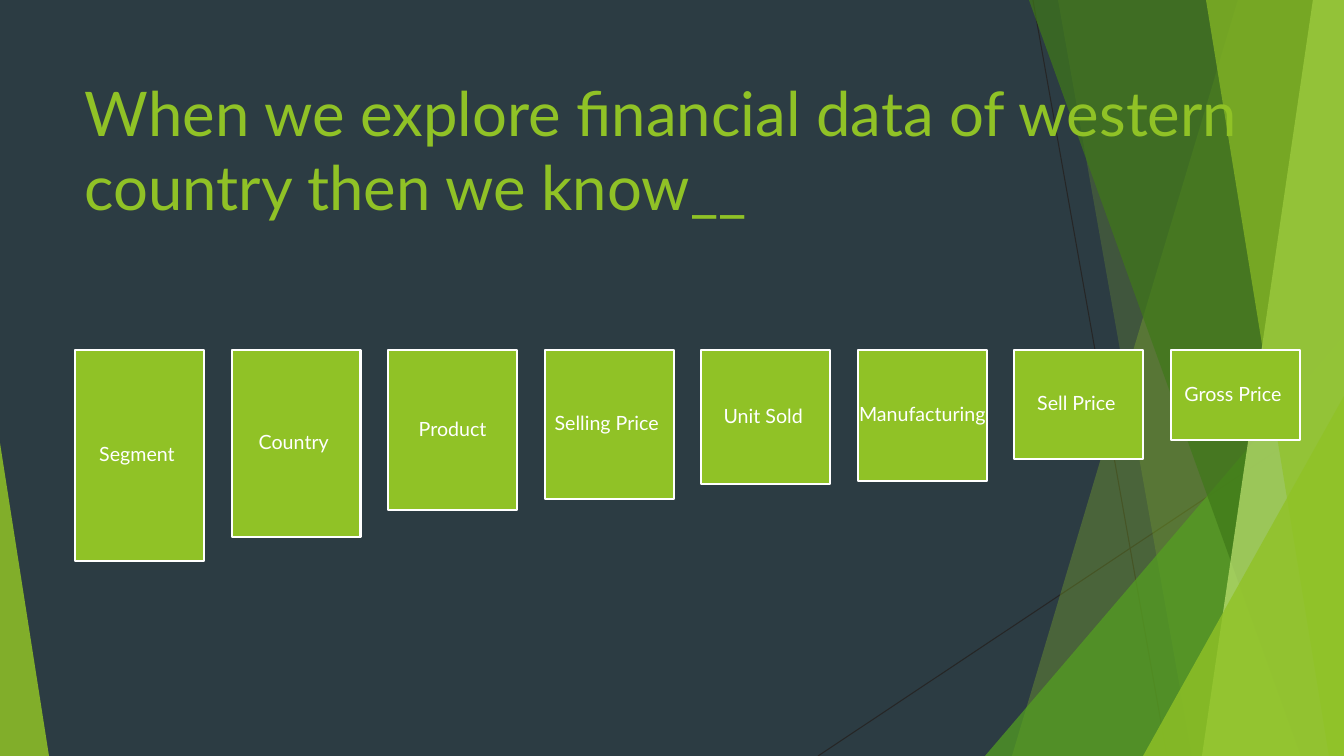
from lxml import etree
from pptx import Presentation
from pptx.dml.color import RGBColor
from pptx.enum.shapes import MSO_CONNECTOR, MSO_SHAPE
from pptx.enum.text import MSO_ANCHOR, PP_ALIGN
from pptx.oxml.ns import qn
from pptx.util import Emu, Pt

STRAIGHT = MSO_CONNECTOR.STRAIGHT
TRIANGLE = MSO_SHAPE.ISOSCELES_TRIANGLE
RECTANGLE = MSO_SHAPE.RECTANGLE
MIDDLE, BOTTOM = MSO_ANCHOR.MIDDLE, MSO_ANCHOR.BOTTOM
CENTER = PP_ALIGN.CENTER

SLATE = RGBColor(0x2C, 0x3C, 0x43)
CHARCOAL = RGBColor(0x26, 0x26, 0x26)
LIME = RGBColor(0x90, 0xC2, 0x26)
GREEN = RGBColor(0x54, 0xA0, 0x21)
FOREST = RGBColor(0x3F, 0x78, 0x19)
PALE_LIME = RGBColor(0xC0, 0xE4, 0x74)
WHITE = RGBColor(0xFF, 0xFF, 0xFF)
FONT = "Lato"

TITLE = "When we explore financial data of western country then we know__"
FIELDS = [
    ("Segment ", 211),
    ("Country ", 187),
    ("Product", 160),
    ("Selling Price ", 149),
    ("Unit Sold ", 134),
    ("Manufacturing ", 131),
    ("Sell Price ", 109),
    ("Gross Price ", 90),
]
RAYS = [(1033, 0, 1167, 756), (1344, 406, 818, 756)]
FACETS = [
    ("band", (1238, 1012), LIME, 30),
    ("band", (1058, 1192), LIME, 20),
    ("wedge", (985, 336, 359, 420, 1), GREEN, 72),
    ("band", (1029, 1301), FOREST, 70),
    ("band", (1313, 1202), PALE_LIME, 70),
    ("band", (1206, 1329), LIME, 65),
    ("wedge", (1143, 396, 201, 360, 1), LIME, 80),
    ("wedge", (0, 443, 49, 313, 0), LIME, 85),
]

SLIDE_WIDTH, SLIDE_HEIGHT = 1344, 756
EMU_PER_PX = 914400 / 100.8
FIELDS_LEFT, FIELDS_RIGHT, FIELDS_TOP, FIELD_WIDTH = 75, 1300, 350, 129


def px(length):
    return Emu(round(length * EMU_PER_PX))


def add_ray(slide, ends):
    ray = slide.shapes.add_connector(STRAIGHT, *map(px, ends))
    ray.line.color.rgb = CHARCOAL
    ray.line.width = Pt(0.75)
    etree.SubElement(ray._element.spPr, qn("a:effectLst"))


def add_facet(slide, kind, geometry, color, opacity):
    if kind == "band":
        top_x, bottom_x = geometry
        builder = slide.shapes.build_freeform(top_x, 0, scale=EMU_PER_PX)
        builder.add_line_segments(
            [(SLIDE_WIDTH, 0), (SLIDE_WIDTH, SLIDE_HEIGHT), (bottom_x, SLIDE_HEIGHT)]
        )
        facet = builder.convert_to_shape()
    else:
        *box, apex = geometry
        facet = slide.shapes.add_shape(TRIANGLE, *map(px, box))
        facet.adjustments[0] = apex
    facet.shadow.inherit = False
    facet.line.fill.background()
    facet.fill.solid()
    facet.fill.fore_color.rgb = color
    color_node = facet._element.spPr.find(qn("a:solidFill"))[0]
    etree.SubElement(color_node, qn("a:alpha"), val=str(opacity * 1000))


def write(shape, text, size, color, anchor):
    frame = shape.text_frame
    frame.text = text
    frame.word_wrap = True
    frame.vertical_anchor = anchor
    font = frame.paragraphs[0].runs[0].font
    font.name = FONT
    font.size = Pt(size)
    font.color.rgb = color
    return frame


def add_field(slide, label, left, height):
    field = slide.shapes.add_shape(
        RECTANGLE, px(left), px(FIELDS_TOP), px(FIELD_WIDTH), px(height)
    )
    field.shadow.inherit = False
    field.fill.solid()
    field.fill.fore_color.rgb = LIME
    field.line.color.rgb = WHITE
    field.line.width = Pt(1.5)
    frame = write(field, label, 14, WHITE, MIDDLE)
    frame.margin_left = frame.margin_right = px(1)
    frame.margin_top = frame.margin_bottom = px(1)
    paragraph = frame.paragraphs[0]
    paragraph.alignment = CENTER
    paragraph.line_spacing = 0.9
    paragraph.space_after = Pt(5)


def main():
    deck = Presentation()
    deck.slide_width, deck.slide_height = px(SLIDE_WIDTH), px(SLIDE_HEIGHT)
    slide = deck.slides.add_slide(deck.slide_layouts[6])
    slide.background.fill.solid()
    slide.background.fill.fore_color.rgb = SLATE

    for ends in RAYS:
        add_ray(slide, ends)
    for facet in FACETS:
        add_facet(slide, *facet)

    title = slide.shapes.add_textbox(px(75), px(25), px(1226), px(203))
    write(title, TITLE, 44, LIME, BOTTOM)

    pitch = (FIELDS_RIGHT - FIELDS_LEFT - FIELD_WIDTH) / (len(FIELDS) - 1)
    for index, (label, height) in enumerate(FIELDS):
        add_field(slide, label, FIELDS_LEFT + index * pitch, height)

    deck.save("out.pptx")


if __name__ == "__main__":
    main()
